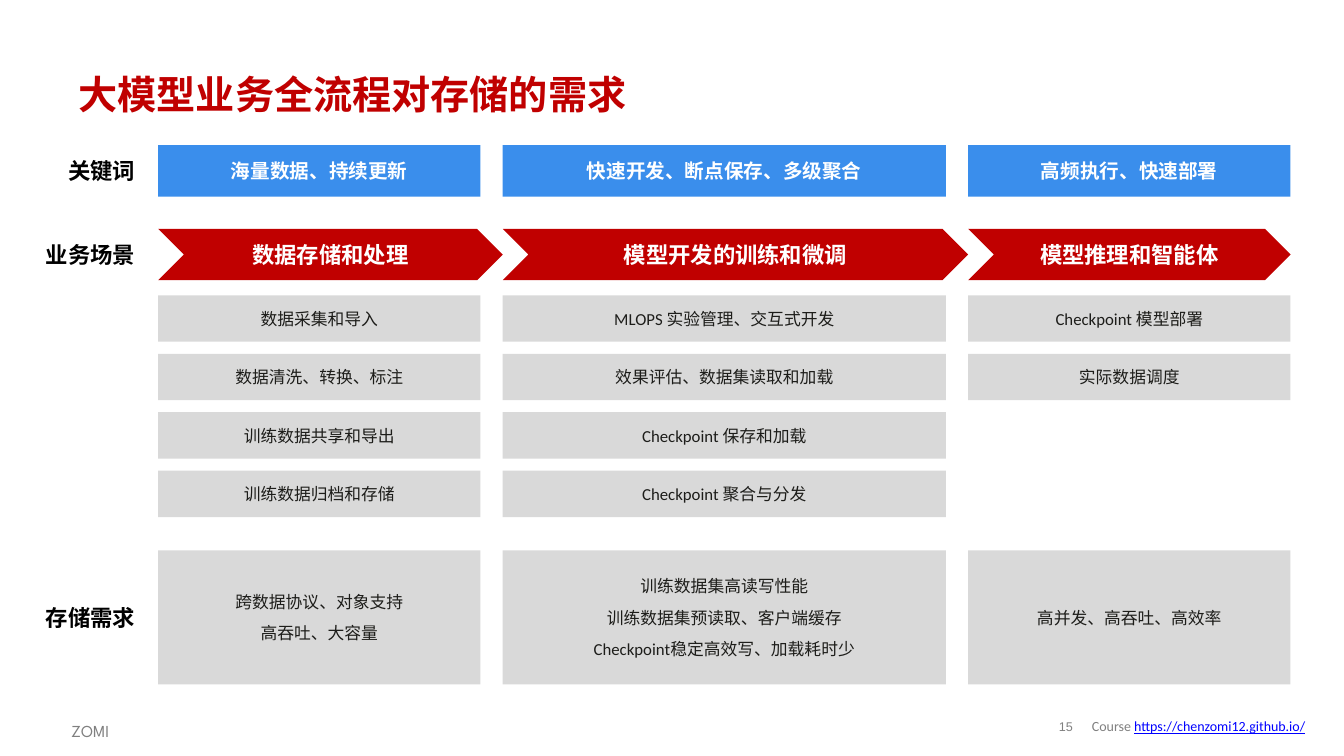
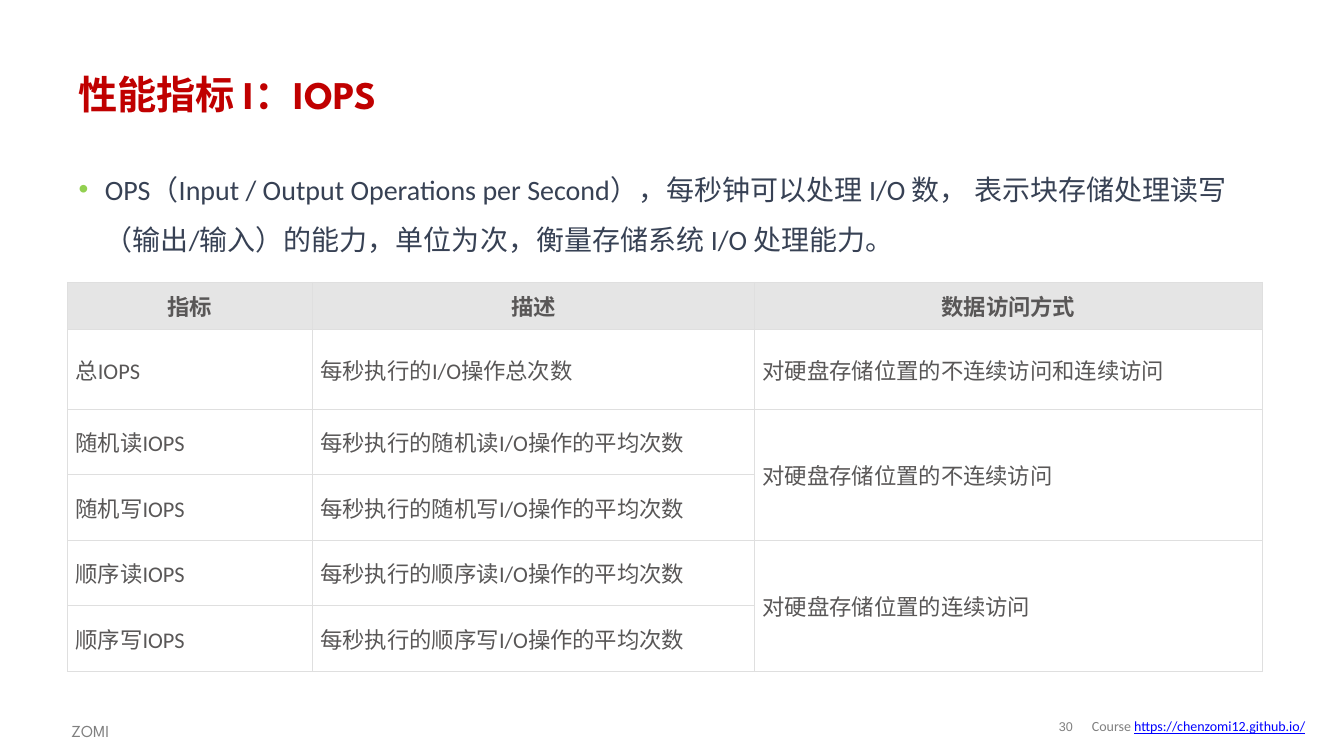
from lxml.etree import SubElement
from pptx import Presentation
from pptx.dml.color import RGBColor
from pptx.enum.shapes import MSO_SHAPE
from pptx.enum.text import MSO_ANCHOR, MSO_AUTO_SIZE, PP_ALIGN
from pptx.oxml.ns import qn
from pptx.util import Inches, Pt

COLORS = {
    "red": "C00000", "blue": "3A8EEC", "panel": "D9D9D9", "ink": "1D1D1A",
    "black": "000000", "white": "FFFFFF", "footer": "808080", "link": "0000FF",
    "body": "374154", "bullet": "92D050", "cell": "595757", "header": "E5E5E5",
    "border": "DFDFDF",
}

LOOKS = {
    "title": {"size": Pt(28), "name": "League Spartan", "bold": True, "color": "red"},
    "keyword": {"size": Pt(14), "name": "Calibri", "bold": True, "color": "white"},
    "label": {"size": Pt(16), "name": "Calibri", "bold": True, "color": "black"},
    "stage": {"size": Pt(16), "name": "Arial", "bold": True, "color": "white"},
    "task": {"size": Pt(12), "name": "Calibri", "bold": False, "color": "ink"},
    "body": {"size": Pt(20), "name": "Calibri", "bold": False, "color": "body"},
    "head": {"size": Pt(16), "name": "Calibri", "bold": True, "color": "cell"},
    "cell": {"size": Pt(16), "name": "Calibri", "bold": False, "color": "cell"},
    "number": {"size": Pt(9), "name": "Arial", "color": "footer"},
    "author": {"size": Pt(12), "name": "League Spartan", "color": "footer"},
    "course": {"size": Pt(10), "name": "Calibri", "color": "footer"},
    "link": {"size": Pt(10), "name": "Calibri", "underline": True, "color": "link"},
}

CENTERED = {"alignment": PP_ALIGN.CENTER, "space_after": Pt(8)}
RIGHT = {"alignment": PP_ALIGN.RIGHT, "space_after": Pt(8)}
LEFT = {"alignment": PP_ALIGN.LEFT}
MIDDLE = {"word_wrap": True, "vertical_anchor": MSO_ANCHOR.MIDDLE}
TIGHT = dict.fromkeys(["margin_left", "margin_top", "margin_right", "margin_bottom"], 0)

LEFT_EDGE, COLUMN_GAP = 1.57, 0.22
TASK_TOP, TASK_STEP, TASK_HEIGHT = 2.93, 0.58, 0.46
BAND_HEIGHT = 0.51
KEYWORD_TOP, STAGE_TOP = 1.44, 2.27
NEED_TOP, NEED_HEIGHT = 5.46, 1.33

STAGES = [
    {"width": 3.2, "keyword": "海量数据、持续更新", "name": "数据存储和处理",
     "tasks": ["数据采集和导入", "数据清洗、转换、标注", "训练数据共享和导出", "训练数据归档和存储"],
     "needs": ["跨数据协议、对象支持", "高吞吐、大容量"]},
    {"width": 4.4, "keyword": "快速开发、断点保存、多级聚合", "name": "模型开发的训练和微调",
     "tasks": ["MLOPS 实验管理、交互式开发", "效果评估、数据集读取和加载",
               "Checkpoint 保存和加载", "Checkpoint 聚合与分发"],
     "needs": ["训练数据集高读写性能", "训练数据集预读取、客户端缓存",
               "Checkpoint稳定高效写、加载耗时少"]},
    {"width": 3.2, "keyword": "高频执行、快速部署", "name": "模型推理和智能体",
     "tasks": ["Checkpoint 模型部署", "实际数据调度"],
     "needs": ["高并发、高吞吐、高效率"]},
]

DEFINITION = (
    "OPS（Input / Output Operations per Second），每秒钟可以处理 I/O 数， "
    "表示块存储处理读写（输出/输入）的能力，单位为次，衡量存储系统 I/O 处理能力。"
)
METRICS = [
    ["指标", "描述", "数据访问方式"],
    ["总IOPS", "每秒执行的I/O操作总次数", "对硬盘存储位置的不连续访问和连续访问"],
    ["随机读IOPS", "每秒执行的随机读I/O操作的平均次数", "对硬盘存储位置的不连续访问"],
    ["随机写IOPS", "每秒执行的随机写I/O操作的平均次数", ""],
    ["顺序读IOPS", "每秒执行的顺序读I/O操作的平均次数", "对硬盘存储位置的连续访问"],
    ["顺序写IOPS", "每秒执行的顺序写I/O操作的平均次数", ""],
]


def rgb(name):
    return RGBColor.from_string(COLORS[name])


def assign(target, values):
    for name, value in values.items():
        setattr(target, name, value)


def add_span(para, text, look):
    span = para.add_run()
    span.text = text
    values = dict(LOOKS[look])
    span.font.color.rgb = rgb(values.pop("color"))
    assign(span.font, values)


def write(frame, lines, look, layout):
    for index, line in enumerate(lines):
        para = frame.add_paragraph() if index else frame.paragraphs[0]
        assign(para, layout)
        add_span(para, line, look)


def place(shape, box):
    assign(shape, dict(zip(["left", "top", "width", "height"], map(Inches, box))))


def add_text(page, box, lines, look, layout, frame_values=MIDDLE):
    shape = page.shapes.add_textbox(*map(Inches, box))
    assign(shape.text_frame, frame_values)
    write(shape.text_frame, lines, look, layout)
    return shape


def add_block(page, kind, box, fill, lines, look):
    block = page.shapes.add_shape(kind, *map(Inches, box))
    block.shadow.inherit = False
    block.fill.solid()
    block.fill.fore_color.rgb = rgb(fill)
    block.line.fill.background()
    assign(block.text_frame, MIDDLE)
    write(block.text_frame, lines, look, CENTERED)


def add_footer(page, number):
    add_text(page, (10.4, 7.06, 0.36, 0.31), [number], "number",
             {"alignment": PP_ALIGN.CENTER, "line_spacing": 0.85}, {**MIDDLE, **TIGHT})
    add_text(page, (0.61, 7.06, 0.8, 0.32), ["ZOMI"], "author",
             {"line_spacing": 1.2}, {"word_wrap": True})
    course = add_text(page, (10.74, 7.06, 2.46, 0.29), ["Course "], "course", LEFT)
    add_span(course.text_frame.paragraphs[0], "https://chenzomi12.github.io/", "link")


def add_page(deck, layout_index, title, number):
    page = deck.slides.add_slide(deck.slide_layouts[layout_index])
    heading = page.shapes.title
    place(heading, (0.68, 0.61, 11.99, 0.64))
    assign(heading.text_frame, {**MIDDLE, "auto_size": MSO_AUTO_SIZE.NONE})
    write(heading.text_frame, [title], "title", LEFT)
    add_footer(page, number)
    return page


def add_label(page, text, top, height):
    label_top = top + (height - BAND_HEIGHT) / 2
    add_text(page, (0.11, label_top, 1.33, BAND_HEIGHT), [text], "label", RIGHT)


def add_stage(page, stage, left, arrow_width):
    width = stage["width"]
    rectangle = MSO_SHAPE.RECTANGLE
    add_block(page, rectangle, (left, KEYWORD_TOP, width, BAND_HEIGHT),
              "blue", [stage["keyword"]], "keyword")
    add_block(page, MSO_SHAPE.CHEVRON, (left, STAGE_TOP, arrow_width, BAND_HEIGHT),
              "red", [stage["name"]], "stage")
    for index, task in enumerate(stage["tasks"]):
        top = TASK_TOP + index * TASK_STEP
        add_block(page, rectangle, (left, top, width, TASK_HEIGHT), "panel", [task], "task")
    add_block(page, rectangle, (left, NEED_TOP, width, NEED_HEIGHT),
              "panel", stage["needs"], "task")


def build_workflow(deck):
    page = add_page(deck, 5, "大模型业务全流程对存储的需求", "15")
    add_label(page, "关键词", KEYWORD_TOP, BAND_HEIGHT)
    add_label(page, "业务场景", STAGE_TOP, BAND_HEIGHT)
    add_label(page, "存储需求", NEED_TOP, NEED_HEIGHT)
    left = LEFT_EDGE
    for stage in STAGES:
        pitch = stage["width"] + COLUMN_GAP
        add_stage(page, stage, left, stage["width"] if stage is STAGES[-1] else pitch)
        left += pitch


def add_bullet(para):
    properties = para._p.get_or_add_pPr()
    properties.set("marL", str(Inches(0.26)))
    properties.set("indent", str(-Inches(0.26)))
    color = SubElement(properties, qn("a:buClr"))
    SubElement(color, qn("a:srgbClr"), val=COLORS["bullet"])
    SubElement(properties, qn("a:buFont"), typeface="Arial")
    SubElement(properties, qn("a:buChar"), char="•")


def add_borders(cell):
    properties = cell._tc.get_or_add_tcPr()
    for side in ("a:lnL", "a:lnR", "a:lnT", "a:lnB"):
        line = SubElement(properties, qn(side), w=str(Pt(0.75)))
        fill = SubElement(line, qn("a:solidFill"))
        SubElement(fill, qn("a:srgbClr"), val=COLORS["border"])


def format_cell(cell, text, is_head):
    add_borders(cell)
    cell.fill.solid()
    cell.fill.fore_color.rgb = rgb("header" if is_head else "white")
    assign(cell, {"vertical_anchor": MSO_ANCHOR.MIDDLE,
                  "margin_left": Inches(0.08), "margin_right": Inches(0.08),
                  "margin_top": Inches(0.06), "margin_bottom": Inches(0.06)})
    if text:
        alignment = PP_ALIGN.CENTER if is_head else PP_ALIGN.LEFT
        write(cell.text_frame, [text], "head" if is_head else "cell", {"alignment": alignment})


def add_metrics(page, box):
    table = page.shapes.add_table(len(METRICS), 3, *map(Inches, box)).table
    assign(table, {"first_row": False, "horz_banding": False})
    for column, width in zip(table.columns, [2.43, 4.39, 5.04]):
        column.width = Inches(width)
    for row, height in zip(table.rows, [0.47, 0.79] + [0.65] * 4):
        row.height = Inches(height)
    for row_index, texts in enumerate(METRICS):
        for column_index, text in enumerate(texts):
            format_cell(table.cell(row_index, column_index), text, row_index == 0)
    for first in (2, 4):
        table.cell(first, 2).merge(table.cell(first + 1, 2))


def build_metrics(deck):
    page = add_page(deck, 1, "性能指标 I：IOPS", "30")
    body = page.placeholders[1]
    place(body, (0.68, 1.49, 11.99, 5.46))
    assign(body.text_frame, {"word_wrap": True, "auto_size": MSO_AUTO_SIZE.NONE})
    add_bullet(body.text_frame.paragraphs[0])
    write(body.text_frame, [DEFINITION], "body",
          {"line_spacing": 1.5, "space_before": Pt(0), "space_after": Pt(8)})
    add_metrics(page, (0.67, 2.8, 11.86, 3.86))


def main():
    deck = Presentation()
    assign(deck, {"slide_width": Inches(13.34), "slide_height": Inches(7.5)})
    build_workflow(deck)
    build_metrics(deck)
    deck.save("out.pptx")


if __name__ == "__main__":
    main()
